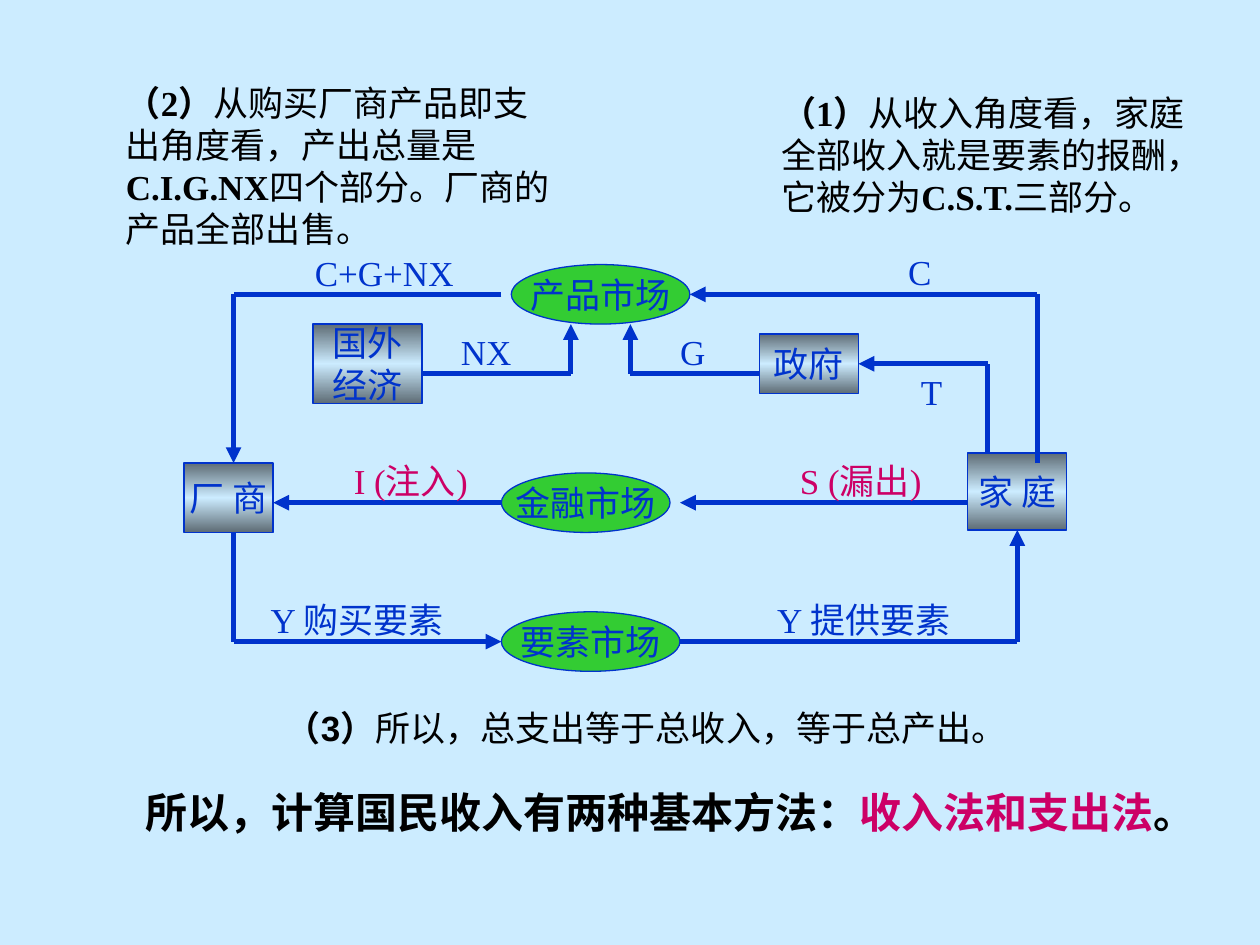
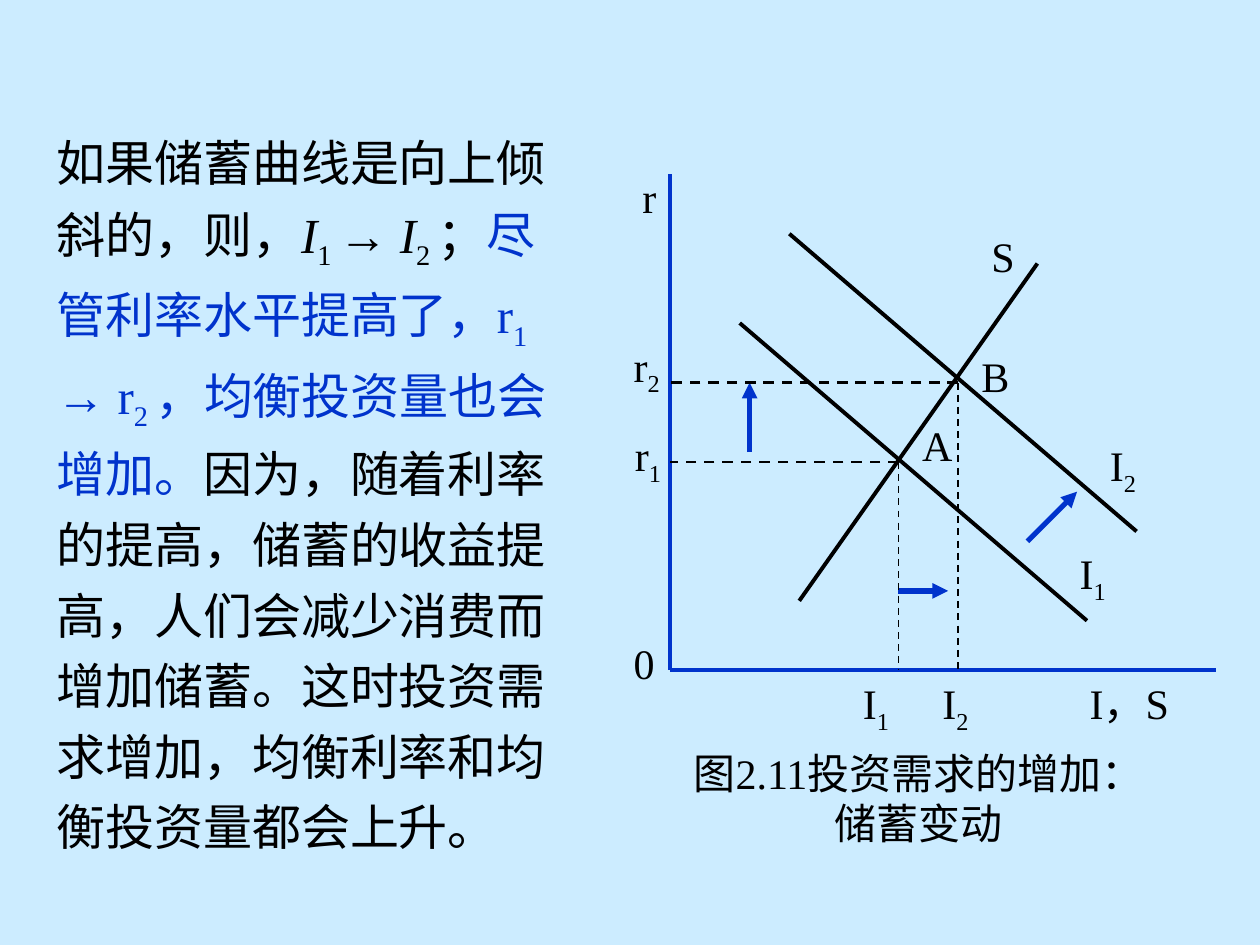
import pptx
import pptx.util
import pptx.dml.color
import pptx.enum.dml
import pptx.enum.shapes
import pptx.enum.text
import pptx.oxml
import pptx.oxml.ns
import copy

RGB = pptx.dml.color.RGBColor
SHAPE = pptx.enum.shapes.MSO_SHAPE
ALIGN = pptx.enum.text.PP_ALIGN
qn = pptx.oxml.ns.qn

PALE, BLUE, GREEN = RGB(0xCC, 0xEC, 0xFF), RGB(0x00, 0x33, 0xCC), RGB(0x33, 0xCC, 0x33)
SLATE, MAGENTA, BLACK = RGB(0x5E, 0x6C, 0x75), RGB(0xCC, 0x00, 0x66), RGB(0, 0, 0)
TIMES, ARIAL = "Times New Roman", "Arial"
WIDTH, HEIGHT = 10, 7.5
UNIT = WIDTH / 127             # grid step of both diagrams, inches

# ---- Slide 1: circular flow; columns and rows from the diagram's corner ----
FLOW_ORIGIN = (1.46, 2.1)
MARKETS = {                    # name: column, row, columns, rows
    "要素市场": (32, 35, 18, 6),
    "产品市场": (33, 0, 18, 6),
    "金融市场": (32, 21, 17, 6),
}
SECTORS = {
    "国外\n经济": (13, 6, 11, 8),
    "政府": (58, 7, 10, 6),
    "厂 商": (0, 20, 9, 7),
    "家 庭": (79, 19, 10, 7.75),
}
FLOWS = [                      # corners of the path, arrow at the last; joined sector and side
    ([(5, 27), (5, 38), (32, 38)], None),
    ([(50, 38), (84, 38), (84, 27)], ("家 庭", 2)),
    ([(81, 19), (81, 10), (68, 10)], ("政府", 3)),
    ([(86, 20), (86, 3), (51, 3)], None),
    ([(32, 3), (5, 3), (5, 20)], None),
    ([(24, 11), (39, 11), (39, 6)], None),
    ([(58, 11), (45, 11), (45, 6)], None),
    ([(79, 24), (50, 24)], None),
    ([(32, 24), (9, 24)], None),
]
FLOW_LABELS = [                # text, left, top, width, colour
    ("Y 购买要素", 2.05, 4.7, 1.72, BLUE),
    ("Y 提供要素", 6.07, 4.7, 1.65, BLUE),
    ("I (注入)", 2.71, 3.6, 1.24, MAGENTA),
    ("S (漏出)", 6.25, 3.6, 1.3, MAGENTA),
    ("NX", 3.56, 2.57, 0.6, BLUE),
    ("G", 5.3, 2.57, 0.4, BLUE),
    ("C", 7.11, 1.94, 0.38, BLUE),
    ("C+G+NX", 2.4, 1.95, 1.3, BLUE),
    ("T", 7.21, 2.89, 0.37, BLUE),
]
BOLD = {"bold": True}
NOTES = [                      # box, runs, font format, wrap
    ((6.1, 0.68, 3.62, 1.1),
     [("（1）", BOLD), ("从收入角度看，家庭全部收入就是要素的报酬，它被分为", {}),
      ("C.S.T.", BOLD), ("三部分。", {})], {"name": TIMES, "size": 20}, True),
    ((0.9, 0.6, 3.62, 1.44),
     [("（2）", BOLD), ("从购买厂商产品即支出角度看，产出总量是", {}),
      ("C.I.G.NX", BOLD), ("四个部分。厂商的产品全部出售。", {})],
     {"name": TIMES, "size": 20}, True),
    ((2.17, 5.56, 6.05, 0.44),
     [("（3）", BOLD), ("所以，总支出等于总收入，等于总产出。", {})],
     {"name": ARIAL, "size": 20}, False),
    ((1.06, 6.19, 8.58, 0.5),
     [("所以，计算国民收入有两种基本方法：", {}),
      ("收入法和支出法", {"color": MAGENTA}), ("。", {})],
     {"name": ARIAL, "size": 24, "bold": True}, True),
]

# ---- Slide 2: saving and investment curves; columns right and rows up from 0 ----
GRAPH_ORIGIN = (5.32, 5.32)
A, B = (23, 21), (29, 29)
AXIS = {"color": BLUE, "width": 2.25}
CURVE = {"color": BLACK, "width": 2.25}
LEVEL = {"color": BLACK, "width": 1.5, "dash": True}
DROP = {"color": BLACK, "width": 1, "dash": True}
SHIFT = {"color": BLUE, "width": 3, "arrow": True}
GRAPH_LINES = [
    ((0, 50), (0, 0), AXIS), ((0, 0), (55, 0), AXIS),
    ((37, 41), (13, 7), CURVE),
    ((12, 44), (47, 14), CURVE), ((7, 35), (42, 5), CURVE),
    ((8, 22), (8, 29), SHIFT), ((36, 13), (41, 18), SHIFT), ((23, 8), (28, 8), SHIFT),
]
for x, y in (A, B):
    GRAPH_LINES += [((x, y), (0, y), LEVEL), ((x, y), (x, 0), DROP)]
GRAPH_LABELS = [               # text with _ before a subscript, left, top, width
    ("r", 5, 1.31, 0.31), ("r_2", 4.93, 2.65, 0.41), ("r_1", 4.94, 3.36, 0.41),
    ("0", 4.93, 5.01, 0.36), ("I_1", 6.75, 5.33, 0.41), ("I_2", 7.38, 5.33, 0.41),
    ("I，S", 8.55, 5.33, 0.99), ("S", 7.77, 1.78, 0.38), ("I_2", 8.71, 3.44, 0.41),
    ("I_1", 8.47, 4.3, 0.41), ("A", 7.22, 3.28, 0.44), ("B", 7.69, 2.73, 0.42),
]
CAPTION = "图2.11投资需求的增加：\n储蓄变动"
SUB, ITALIC, IN_BLUE = {"sub": True}, {"italic": True}, {"color": BLUE}
SUB_BLUE = {**SUB, **IN_BLUE}
EXPLANATION = [
    ("如果储蓄曲线是向上倾斜的，则，", {}), ("I", ITALIC), ("1 ", SUB), ("→", {}),
    (" I", ITALIC), ("2 ", SUB), ("；", {}),
    ("尽管利率水平提高了，r", IN_BLUE), ("1", SUB_BLUE), (" → r", IN_BLUE),
    ("2 ", SUB_BLUE), ("，均衡投资量也会增加。", IN_BLUE),
    ("因为，随着利率的提高，储蓄的收益提高，人们会减少消费而增加储蓄。"
     "这时投资需求增加，均衡利率和均衡投资量都会上升。", {}),
]


# ---- Shared helpers ----
def inches(*values):
    return [pptx.util.Inches(v) for v in values]


def add_run(p, text, fmt):
    r = p.add_run()
    r.text = text
    for key, value in fmt.items():
        if key == "color":
            r.font.color.rgb = value
        elif key == "sub":
            r._r.get_or_add_rPr().set("baseline", "-25000")
        else:
            setattr(r.font, key, pptx.util.Pt(value) if key == "size" else value)


def write(tf, paragraphs, fmt, align=ALIGN.LEFT, wrap=False, spacing=None):
    tf.word_wrap = wrap
    for i, runs in enumerate(paragraphs):
        p = tf.add_paragraph() if i else tf.paragraphs[0]
        p.alignment = align
        if spacing:
            p.line_spacing = spacing
        for text, extra in runs:
            add_run(p, text, {"color": BLACK, **fmt, **extra})


def plain(text):
    return [[(line, {})] for line in text.split("\n")]


def add_text(s, box, paragraphs, fmt, **layout):
    write(s.shapes.add_textbox(*inches(*box)).text_frame, paragraphs, fmt, **layout)


def add_line(s, start, end, color=BLUE, width=3, dash=False, arrow=False):
    c = s.shapes.add_connector(pptx.enum.shapes.MSO_CONNECTOR.STRAIGHT,
                               *inches(*start, *end))
    c.line.color.rgb = color
    c.line.width = pptx.util.Pt(width)
    if dash:
        c.line.dash_style = pptx.enum.dml.MSO_LINE.DASH
    if arrow:
        tail = pptx.oxml.parse_xml(
            f'<a:tailEnd {pptx.oxml.ns.nsdecls("a")} type="triangle"/>')
        c.line._get_or_add_ln().append(tail)
    c._element.spPr.append(
        pptx.oxml.parse_xml(f'<a:effectLst {pptx.oxml.ns.nsdecls("a")}/>'))
    return c


def metal(sp):
    """Vertical gradient, dark at both edges and light in the middle."""
    sp.fill.gradient()
    sp.fill.gradient_angle = 90
    stops = sp._element.spPr.find(".//" + qn("a:gsLst"))
    stops.append(copy.deepcopy(stops[0]))
    for stop, place, color in zip(sp.fill.gradient_stops, (0, 0.5, 1), (SLATE, PALE, SLATE)):
        stop.position = place
        stop.color.rgb = color


def add_node(s, kind, name, cell):
    col, row, cols, rows = cell
    sp = s.shapes.add_shape(kind, *inches(*on_flow((col, row)), cols * UNIT, rows * UNIT))
    sp.shadow.inherit = False
    if kind == SHAPE.OVAL:
        sp.fill.solid()
        sp.fill.fore_color.rgb = GREEN
    else:
        metal(sp)
    sp.line.color.rgb = BLUE
    sp.line.width = pptx.util.Pt(0.75)
    sp.text_frame.vertical_anchor = pptx.enum.text.MSO_ANCHOR.MIDDLE
    write(sp.text_frame, plain(name), {"name": ARIAL, "size": 20, "color": BLUE}, ALIGN.CENTER)
    return sp


def on_flow(point):
    return FLOW_ORIGIN[0] + point[0] * UNIT, FLOW_ORIGIN[1] + point[1] * UNIT


def on_graph(point):
    return GRAPH_ORIGIN[0] + point[0] * UNIT, GRAPH_ORIGIN[1] - point[1] * UNIT


def new_slide(prs):
    s = prs.slides.add_slide(prs.slide_layouts[6])
    s.background.fill.solid()
    s.background.fill.fore_color.rgb = PALE
    return s


# ---- Slides ----
def flow_slide(prs):
    s = new_slide(prs)
    for name, cell in MARKETS.items():
        add_node(s, SHAPE.OVAL, name, cell)
    sectors = {name: add_node(s, SHAPE.RECTANGLE, name, cell)
               for name, cell in SECTORS.items()}
    for points, joined in FLOWS:
        corners = [on_flow(pt) for pt in points]
        for start, end in zip(corners, corners[1:]):
            c = add_line(s, start, end, arrow=end is corners[-1])
        if joined:
            c.end_connect(sectors[joined[0]], joined[1])
    for text, left, top, width, color in FLOW_LABELS:
        add_text(s, (left, top, width, 0.44), plain(text),
                 {"name": TIMES, "size": 20, "color": color})
    for box, runs, fmt, wrap in NOTES:
        add_text(s, box, [runs], fmt, wrap=wrap)


def graph_slide(prs):
    s = new_slide(prs)
    for start, end, style in GRAPH_LINES:
        add_line(s, on_graph(start), on_graph(end), **style)
    label = {"name": TIMES, "size": 24}
    for text, left, top, width in GRAPH_LABELS:
        base, _, sub = text.partition("_")
        runs = [(base, {})] + ([(sub, SUB)] if sub else [])
        add_text(s, (left, top, width, 0.56 if sub else 0.5), [runs], label)
    add_text(s, (5.32, 5.88, 3.94, 0.9), plain(CAPTION), label, align=ALIGN.CENTER)
    add_text(s, (0.35, 0.91, 4.17, 5.86), [EXPLANATION], {"name": TIMES, "size": 28},
             wrap=True, spacing=1.2)


def main():
    prs = pptx.Presentation()
    prs.slide_width, prs.slide_height = inches(WIDTH, HEIGHT)
    flow_slide(prs)
    graph_slide(prs)
    prs.save("out.pptx")


if __name__ == "__main__":
    main()
